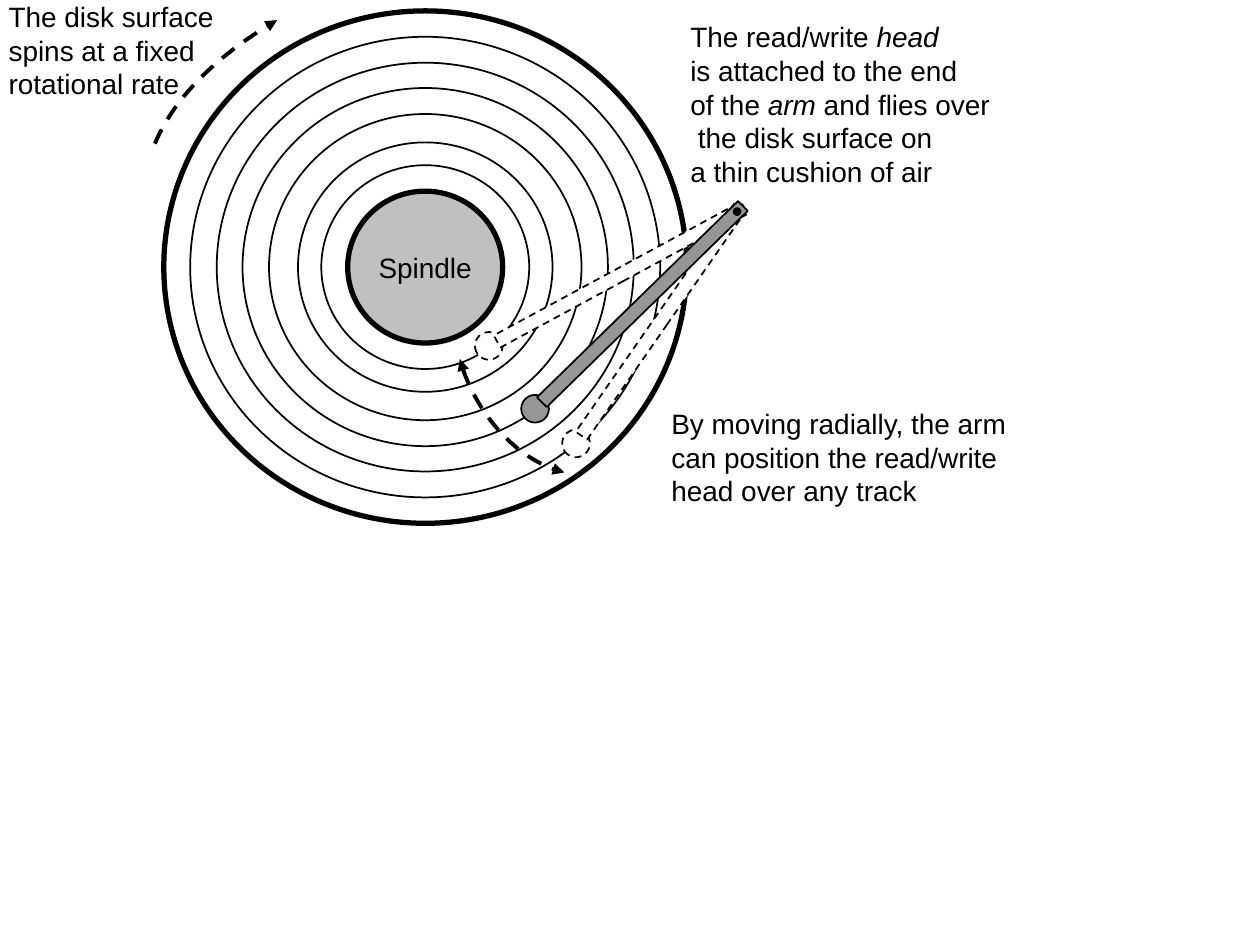
import math

import pptx
import pptx.dml.color
import pptx.enum.dml
import pptx.enum.shapes
import pptx.enum.text
import pptx.oxml
import pptx.oxml.ns
import pptx.util

W, H = 10, 7.5
FONT, SIZE = "Arial", 16
COLORS = {"ink": "000000", "paper": "FFFFFF", "spindle": "C0C0C0", "arm": "969696"}

CENTER = (3.375, 2.12)
ASPECT = 0.98  # height of the disk as a share of its width
# diameter, fill, line width, text; back to front
RINGS = [(2.02, "paper", 1, ""), (4.15, None, 3, "")]
RINGS += [(d, None, 1, "") for d in (3.73, 3.31, 2.9, 2.48, 1.65)]
RINGS += [(1.23, "spindle", 3, "Spindle")]

PIVOT = (5.85, 1.68)
ARM_LENGTH, ARM_WIDTH, HEAD = 2.23, 0.11, 0.22
ARM_MIDDLE, HEAD_REACH = 1.05, 2.24  # distances from the pivot
# angle below horizontal, fill, dashed
ARMS = [(28.4, "paper", True), (55.2, "paper", True), (44.3, "arm", False)]

# four Bezier points, arrowhead at the start as well
SPIN = ([(1.23, 1.14), (1.38, 0.78), (1.75, 0.42), (2.2, 0.16)], False)
SWING = ([(3.65, 2.85), (3.73, 3.18), (4.09, 3.66), (4.48, 3.75)], True)

# left, top, width, height, wrap, lines; *words* are italic
SPIN_NOTE = (-0.03, -0.05, 1.9, 0.9, True,
             ["The disk surface", "spins at a fixed", "rotational rate"])
HEAD_NOTE = (5.38, 0.11, 2.58, 1.43, False,
             ["The read/write *head*", "is attached to the end",
              "of the *arm* and flies over", " the disk surface on",
              "a thin cushion of air"])
MOVE_NOTE = (5.23, 3.18, 3.22, 0.9, True,
             ["By moving radially, the arm can position the read/write "
              "head over any track"])

SHAPE = pptx.enum.shapes.MSO_SHAPE
DASH = pptx.enum.dml.MSO_LINE.DASH


def inches(*values):
    return [pptx.util.Inches(v) for v in values]


def rgb(name):
    return pptx.dml.color.RGBColor.from_string(COLORS[name])


def style(sp, fill, width, dashed=False):
    sp.shadow.inherit = False
    if fill:
        sp.fill.solid()
        sp.fill.fore_color.rgb = rgb(fill)
    else:
        sp.fill.background()
    sp.line.color.rgb = rgb("ink")
    sp.line.width = pptx.util.Pt(width)
    if dashed:
        sp.line.dash_style = DASH


def font(r, italic=False):
    r.font.name = FONT
    r.font.size = pptx.util.Pt(SIZE)
    r.font.color.rgb = rgb("ink")
    r.font.italic = italic


def add_centered(s, kind, x, y, w, h):
    return s.shapes.add_shape(kind, *inches(x - w / 2, y - h / 2, w, h))


def add_ring(s, diameter, fill, width, text):
    sp = add_centered(s, SHAPE.OVAL, *CENTER, diameter, diameter * ASPECT)
    style(sp, fill, width)
    if text:
        tf = sp.text_frame
        tf.text = text
        tf.word_wrap = False
        tf.vertical_anchor = pptx.enum.text.MSO_ANCHOR.MIDDLE
        tf.paragraphs[0].alignment = pptx.enum.text.PP_ALIGN.CENTER
        font(tf.paragraphs[0].runs[0])


def add_arm(s, angle, fill, dashed):
    dx, dy = -math.cos(math.radians(angle)), math.sin(math.radians(angle))
    for kind, reach, w, h in ((SHAPE.OVAL, HEAD_REACH, HEAD, HEAD),
                              (SHAPE.RECTANGLE, ARM_MIDDLE, ARM_LENGTH, ARM_WIDTH)):
        sp = add_centered(s, kind, PIVOT[0] + reach * dx, PIVOT[1] + reach * dy, w, h)
        sp.rotation = 360 - angle
        style(sp, fill, 1, dashed)


def add_curve(s, points, both_ends):
    """Draw a dashed arrow along one cubic Bezier curve."""
    start, *rest = [inches(*p) for p in points]
    builder = s.shapes.build_freeform(*start)
    builder.add_line_segments(rest, close=False)
    sp = builder.convert_to_shape()
    style(sp, None, 2.25, True)
    qn = pptx.oxml.ns.qn
    path = next(sp._element.iter(qn("a:path")))
    segments = path.findall(qn("a:lnTo"))
    curve = path.makeelement(qn("a:cubicBezTo"), {})
    path.append(curve)
    for segment in segments:
        curve.append(segment[0])
        path.remove(segment)
    for end in ["headEnd", "tailEnd"][0 if both_ends else 1:]:
        sp.line._get_or_add_ln().append(pptx.oxml.parse_xml(
            f'<a:{end} {pptx.oxml.ns.nsdecls("a")} type="triangle"/>'))


def add_note(s, x, y, w, h, wrap, lines):
    tf = s.shapes.add_textbox(*inches(x, y, w, h)).text_frame
    tf.word_wrap = wrap
    for i, line in enumerate(lines):
        p = tf.add_paragraph() if i else tf.paragraphs[0]
        for j, part in enumerate(line.split("*")):
            if part:
                r = p.add_run()
                r.text = part
                font(r, j % 2 == 1)


def main():
    prs = pptx.Presentation()
    prs.slide_width, prs.slide_height = inches(W, H)
    s = prs.slides.add_slide(prs.slide_layouts[6])
    add_note(s, *MOVE_NOTE)
    for ring in RINGS:
        add_ring(s, *ring)
    add_curve(s, *SPIN)
    add_note(s, *SPIN_NOTE)
    add_note(s, *HEAD_NOTE)
    add_curve(s, *SWING)
    for arm in ARMS:
        add_arm(s, *arm)
    style(add_centered(s, SHAPE.OVAL, *PIVOT, 0.04, 0.04), "ink", 2)
    prs.save("out.pptx")


if __name__ == "__main__":
    main()
